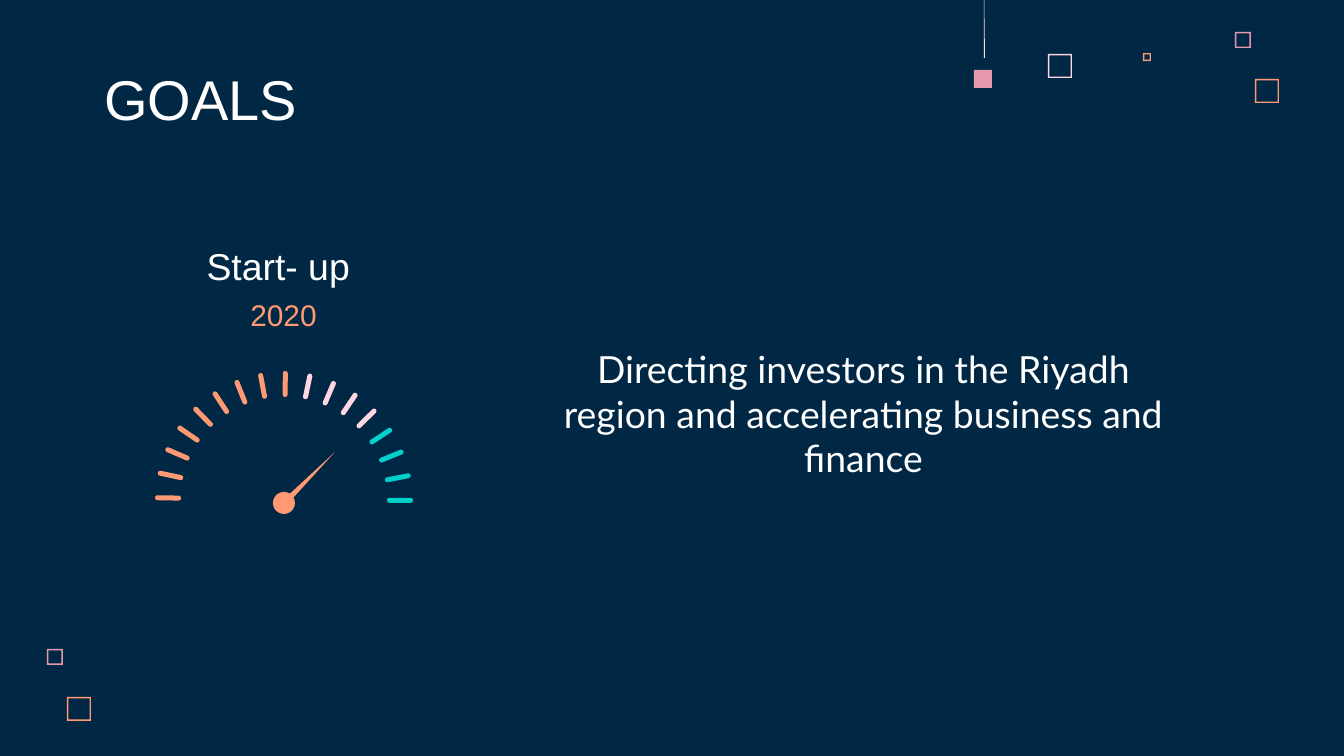
from math import cos, pi, radians, sin

from pptx import Presentation
from pptx.dml.color import RGBColor
from pptx.enum.shapes import MSO_SHAPE as Shape
from pptx.enum.text import MSO_ANCHOR as Anchor, PP_ALIGN as Align
from pptx.util import Pt

THEME = {
    "navy": "002845", "white": "FFFFFF", "orange": "FF9973",
    "blush": "FFD6E1", "rose": "E898AC", "teal": "00CFCC",
    "title": 30, "body": 20, "year": 16, "sans": "Arial", "text": "Lato",
}
EMU_PER_PX = 914400 / 134.4
SLIDE = (1344, 756)
INSET = 13

# Text: words, box, size, font, colour, alignment, anchor
TEXTS = [
    ("Start- up ", (145, 206, 277, 95), "body", "sans", "white", Align.CENTER, Anchor.BOTTOM),
    ("2020", (145, 284, 277, 62), "year", "sans", "orange", Align.CENTER, Anchor.TOP),
    ("Directing investors in the Riyadh region and accelerating business and finance",
     (529, 333, 669, 164), "body", "text", "white", Align.CENTER, Anchor.TOP),
    ("GOALS", (91, 60, 695, 85), "title", "sans", "white", Align.LEFT, Anchor.BOTTOM),
]

# Decoration: left, top, side, colour
FRAMES = [
    (1048, 54, 24, "blush"), (1235, 32, 16, "rose"), (1143, 53, 8, "orange"),
    (1255, 79, 24, "orange"), (47, 649, 16, "rose"), (67, 697, 24, "orange"),
]
FRAME_LINE = 1.4
PENDANT = (974, 70, 18, 18)
CORD = [(984, -24), (984, 58), (985, 58)]

# Gauge: ticks run clockwise from the left end
TICKS = ["orange"] * 9 + ["blush"] * 4 + ["teal"] * 4
CENTRE, RADIUS = (284, 500), 116
TICK_LENGTH, TICK_WIDTH = 26, 5
FIRST_ANGLE, ANGLE_STEP = 1, 11.2
HUB = (273, 492, 22, 22)
NEEDLE = [(335, 452), (280, 503), (284, 508)]


def emu(px):
    return round(px * EMU_PER_PX)


def rgb(name):
    return RGBColor.from_string(THEME[name])


def paint(sp, colour):
    sp.shadow.inherit = False
    sp.fill.solid()
    sp.fill.fore_color.rgb = rgb(colour)
    sp.line.fill.background()
    return sp


def add_preset(s, kind, box, colour):
    return paint(s.shapes.add_shape(kind, *map(emu, box)), colour)


def add_outline(s, points, colour):
    start, *rest = [(emu(x), emu(y)) for x, y in points]
    builder = s.shapes.build_freeform(*start)
    builder.add_line_segments(rest, close=True)
    return paint(builder.convert_to_shape(), colour)


def tick_points(degrees, steps=6):
    """Outline of a round-ended bar that points away from the gauge centre."""
    a, cap = radians(180 + degrees), TICK_WIDTH / 2
    points = []
    for side in (1, -1):
        r = RADIUS + side * (TICK_LENGTH / 2 - cap)
        x, y = CENTRE[0] + r * cos(a), CENTRE[1] + r * sin(a)
        for i in range(steps + 1):
            turn = a - side * pi / 2 + i * pi / steps
            if side < 0:
                turn = a + pi / 2 + i * pi / steps
            points.append((x + cap * cos(turn), y + cap * sin(turn)))
    return points


def add_text(s, words, box, size, font, colour, align, anchor):
    tf = s.shapes.add_textbox(*map(emu, box)).text_frame
    frame = {"word_wrap": True, "vertical_anchor": anchor}
    frame.update({f"margin_{side}": emu(INSET) for side in ("left", "top", "right", "bottom")})
    for name, value in frame.items():
        setattr(tf, name, value)
    p = tf.paragraphs[0]
    p.alignment = align
    r = p.add_run()
    r.text = words
    for name, value in {"size": Pt(THEME[size]), "name": THEME[font]}.items():
        setattr(r.font, name, value)
    r.font.color.rgb = rgb(colour)


def main():
    prs = Presentation()
    prs.slide_width, prs.slide_height = map(emu, SLIDE)
    s = prs.slides.add_slide(prs.slide_layouts[6])
    s.background.fill.solid()
    s.background.fill.fore_color.rgb = rgb("navy")

    # Decorative squares and the hanging pendant
    for left, top, side, colour in FRAMES:
        sp = add_preset(s, Shape.FRAME, (left, top, side, side), colour)
        sp.adjustments[0] = FRAME_LINE / side
    add_preset(s, Shape.RECTANGLE, PENDANT, "rose")
    add_outline(s, CORD, "blush")

    # Gauge
    for i, colour in enumerate(TICKS):
        add_outline(s, tick_points(FIRST_ANGLE + i * ANGLE_STEP), colour)
    add_preset(s, Shape.OVAL, HUB, "orange")
    add_outline(s, NEEDLE, "orange")

    # Text
    for text in TEXTS:
        add_text(s, *text)

    prs.save("out.pptx")


if __name__ == "__main__":
    main()
